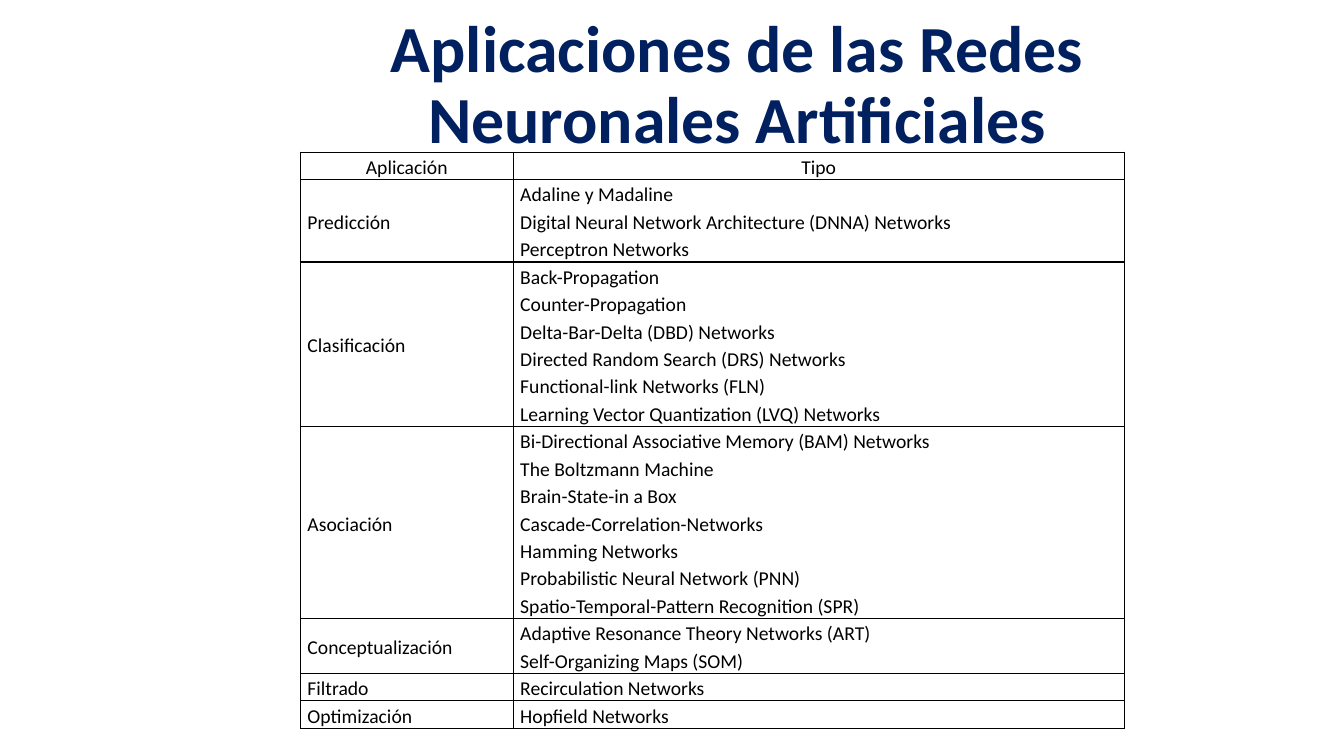
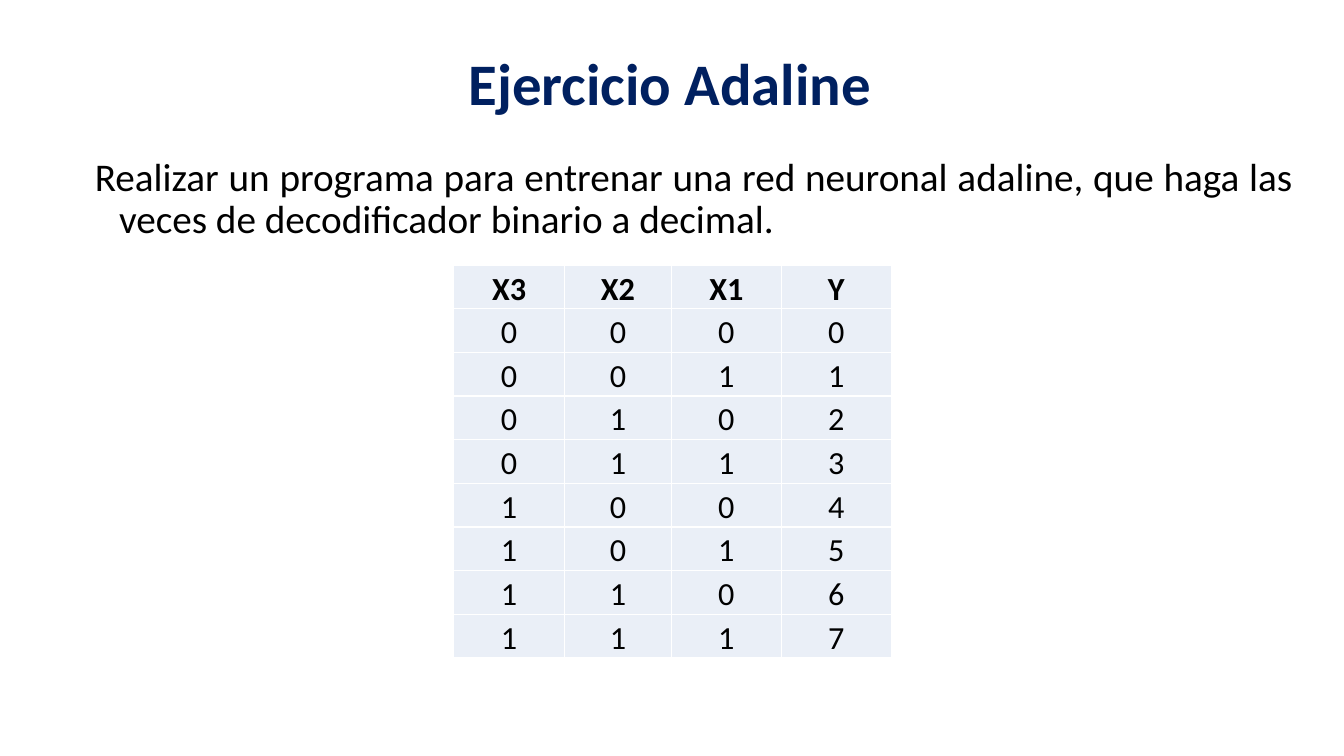
from lxml.etree import SubElement
from pptx import Presentation
from pptx.dml.color import RGBColor
from pptx.enum.text import MSO_ANCHOR, MSO_AUTO_SIZE, PP_ALIGN
from pptx.oxml.ns import qn
from pptx.util import Inches, Pt

NAVY, BLACK, WHITE, PALE_BLUE = "002060", "000000", "FFFFFF", "EAEFF7"
TITLE_AND_CONTENT, TITLE_ONLY = 1, 5

APPLICATIONS = {
    "Predicción": [
        "Adaline y Madaline",
        "Digital Neural Network Architecture (DNNA) Networks",
        "Perceptron Networks",
    ],
    "Clasificación": [
        "Back-Propagation",
        "Counter-Propagation",
        "Delta-Bar-Delta (DBD) Networks",
        "Directed Random Search (DRS) Networks",
        "Functional-link Networks (FLN)",
        "Learning Vector Quantization (LVQ) Networks",
    ],
    "Asociación": [
        "Bi-Directional Associative Memory (BAM) Networks",
        "The Boltzmann Machine",
        "Brain-State-in a Box",
        "Cascade-Correlation-Networks",
        "Hamming Networks",
        "Probabilistic Neural Network (PNN)",
        "Spatio-Temporal-Pattern Recognition (SPR)",
    ],
    "Conceptualización": [
        "Adaptive Resonance Theory Networks (ART)",
        "Self-Organizing Maps (SOM)",
    ],
    "Filtrado": ["Recirculation Networks"],
    "Optimización": ["Hopfield Networks"],
}


def rgb(color):
    return RGBColor.from_string(color)


class Deck:
    """Holds the shared style and the slide being built."""

    font = "Calibri"
    title_color = NAVY
    title_top, title_height = 0.21, 1.3

    def __init__(self):
        self.prs = Presentation()
        self.prs.slide_width, self.prs.slide_height = Inches(13.33), Inches(7.5)
        self.slide = None

    def add_slide(self, layout):
        self.slide = self.prs.slides.add_slide(self.prs.slide_layouts[layout])

    def place(self, shape, left, top, width, height):
        shape.left, shape.top = Inches(left), Inches(top)
        shape.width, shape.height = Inches(width), Inches(height)

    def add_text(self, frame, lines, size, color=BLACK, bold=False,
                 align=PP_ALIGN.LEFT, spacing=1.0):
        for index, line in enumerate(lines):
            paragraph = frame.add_paragraph() if index else frame.paragraphs[0]
            paragraph.alignment = align
            paragraph.line_spacing = spacing
            run = paragraph.add_run()
            run.text = line
            run.font.name, run.font.size, run.font.bold = self.font, Pt(size), bold
            run.font.color.rgb = rgb(color)

    def title(self, text, left, width, size):
        title = self.slide.shapes.title
        self.place(title, left, self.title_top, width, self.title_height)
        frame = title.text_frame
        frame.auto_size = MSO_AUTO_SIZE.NONE
        frame.vertical_anchor = MSO_ANCHOR.MIDDLE
        self.add_text(frame, [text], size, self.title_color, True, PP_ALIGN.CENTER, 0.9)

    def body(self, text, left, top, width, height, size):
        body = self.slide.placeholders[1]
        self.place(body, left, top, width, height)
        frame = body.text_frame
        frame.auto_size = MSO_AUTO_SIZE.NONE
        self.add_text(frame, [text], size, align=PP_ALIGN.JUSTIFY, spacing=0.9)
        # Hanging indent without a bullet
        paragraph = frame.paragraphs[0]
        paragraph.space_before = Pt(9.7)
        properties = paragraph._p.get_or_add_pPr()
        properties.set("marL", str(Inches(0.24)))
        properties.set("indent", str(Inches(-0.24)))
        SubElement(properties, qn("a:buNone"))

    def table(self, rows, left, top, widths, height):
        frame = self.slide.shapes.add_table(
            rows, len(widths), Inches(left), Inches(top),
            Inches(sum(widths)), Inches(height))
        table = frame.table
        table.first_row = table.horz_banding = False
        for column, width in zip(table.columns, widths):
            column.width = Inches(width)
        return table

    def cell(self, cell, lines, size, margins, anchor, border, fill=None, **text):
        (cell.margin_left, cell.margin_top,
         cell.margin_right, cell.margin_bottom) = map(Inches, margins)
        cell.vertical_anchor = anchor
        self.add_text(cell.text_frame, lines, size, **text)
        # Borders come before the fill in the cell properties
        properties = cell._tc.get_or_add_tcPr()
        for side in ("a:lnL", "a:lnR", "a:lnT", "a:lnB"):
            line = SubElement(properties, qn(side), w=str(Pt(1)))
            SubElement(SubElement(line, qn("a:solidFill")), qn("a:srgbClr"), val=border)
        if fill:
            cell.fill.solid()
            cell.fill.fore_color.rgb = rgb(fill)
        else:
            cell.fill.background()


def applications_slide(deck):
    deck.add_slide(TITLE_ONLY)
    deck.title("Aplicaciones de las Redes Neuronales Artificiales", 2.39, 9.85, 47)

    # Each row is as tall as its list of networks
    line_height = 0.27
    rows = [("Aplicación", ["Tipo"]), *APPLICATIONS.items()]
    line_count = sum(len(networks) for _, networks in rows)
    table = deck.table(len(rows), 2.98, 1.51, (2.11, 6.06), line_count * line_height)
    for index, (application, networks) in enumerate(rows):
        table.rows[index].height = Inches(len(networks) * line_height)
        align = PP_ALIGN.LEFT if index else PP_ALIGN.CENTER
        for column, (lines, anchor) in enumerate(
                [([application], MSO_ANCHOR.MIDDLE), (networks, MSO_ANCHOR.TOP)]):
            deck.cell(table.cell(index, column), lines, 14, (0.07, 0, 0.07, 0),
                      anchor, BLACK, align=align, spacing=1.15)


def exercise_slide(deck):
    deck.add_slide(TITLE_AND_CONTENT)
    deck.title("Ejercicio Adaline", 2.16, 8.97, 42)
    deck.body("Realizar un programa para entrenar una red neuronal adaline, "
              "que haga las veces de decodificador binario a decimal.",
              0.84, 1.51, 12.08, 5.01, 28)

    # Truth table: three bits and their decimal value
    rows = [("X3", "X2", "X1", "Y")]
    rows += [(*f"{value:03b}", str(value)) for value in range(8)]
    table = deck.table(len(rows), 4.5, 2.63, (1.1, 1.06, 1.09, 1.09), 3.9)
    for index, values in enumerate(rows):
        for column, value in enumerate(values):
            deck.cell(table.cell(index, column), [value], 23, (0.02, 0.02, 0.02, 0),
                      MSO_ANCHOR.BOTTOM, WHITE, PALE_BLUE,
                      bold=index == 0, align=PP_ALIGN.CENTER)


def main():
    deck = Deck()
    applications_slide(deck)
    exercise_slide(deck)
    deck.prs.save("out.pptx")


if __name__ == "__main__":
    main()
